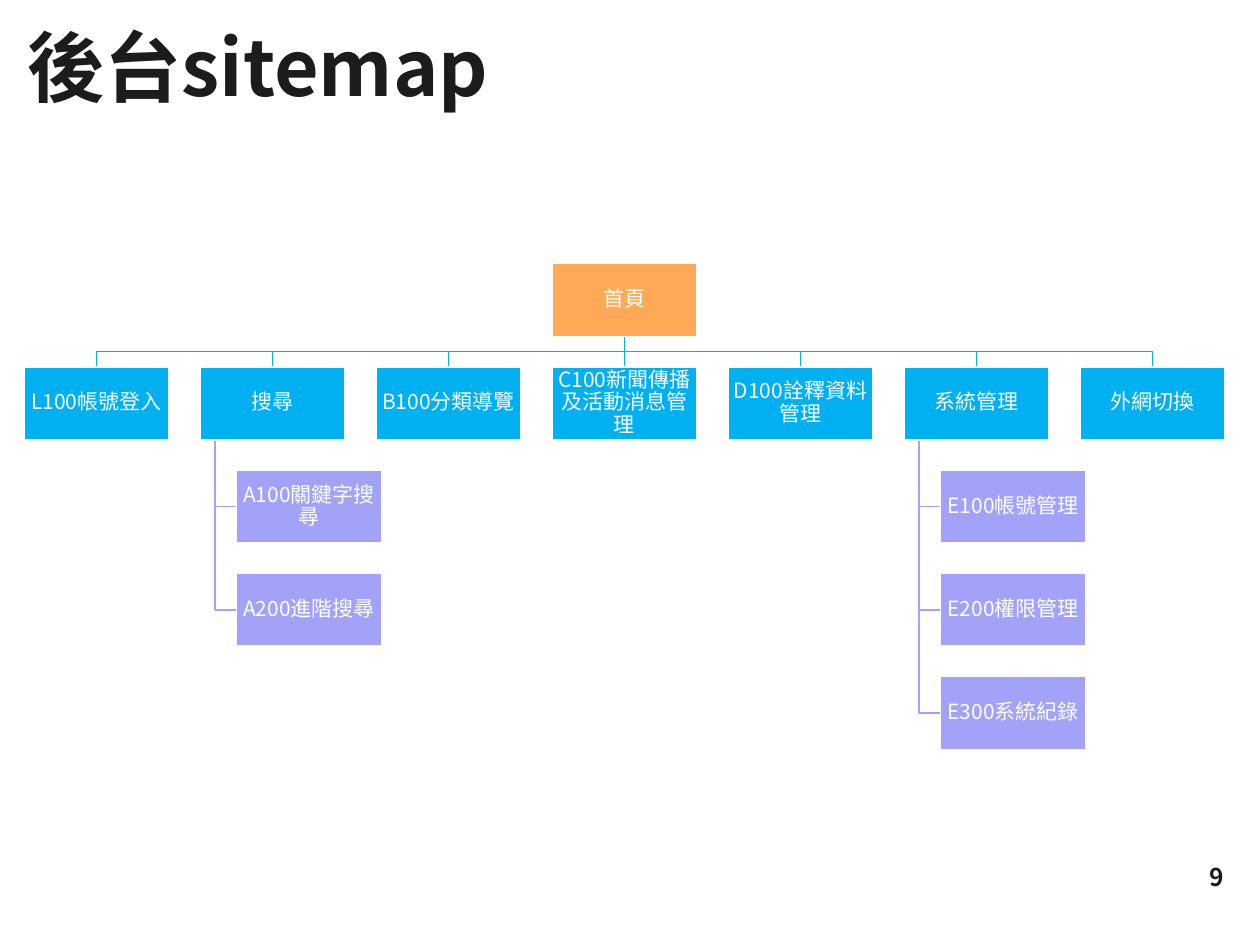
from lxml.etree import SubElement
from pptx import Presentation
from pptx.dml.color import RGBColor
from pptx.enum.shapes import MSO_CONNECTOR, MSO_SHAPE
from pptx.enum.text import MSO_ANCHOR, PP_ALIGN
from pptx.oxml.ns import qn
from pptx.util import Inches, Pt

FONT = "Noto Sans CJK SC"
LATIN_FONT = "Calibri"
INK = RGBColor(0x1C, 0x1C, 0x1C)
WHITE = RGBColor(0xFF, 0xFF, 0xFF)
ORANGE = RGBColor(0xFD, 0xA9, 0x55)
BLUE = RGBColor(0x00, 0xB0, 0xF0)
PURPLE = RGBColor(0xA2, 0xA2, 0xF8)

BOX_WIDTH, BOX_HEIGHT = Inches(1.15), Inches(0.58)
LEFT, COLUMN_STEP = Inches(0.19), Inches(1.397)
HOME_TOP, ROW_STEP = Inches(2.09), Inches(0.82)
SECTION_TOP = HOME_TOP + ROW_STEP
CHILD_INDENT, TRUNK_INDENT = Inches(0.29), Inches(0.12)

# Each section: its text runs as (text, latin font), then its child pages
SECTIONS = [
    ([("L100帳號登入", FONT)], []),
    ([("搜尋", FONT)], ["A100關鍵字搜尋", "A200進階搜尋"]),
    ([("B100分類導覽", FONT)], []),
    ([("C100", FONT), ("新聞傳播及活動消息管理", LATIN_FONT)], []),
    ([("D100詮釋資料管理", FONT)], []),
    ([("系統管理", FONT)], ["E100帳號管理", "E200權限管理", "E300系統紀錄"]),
    ([("外網切換", FONT)], []),
]
HOME_COLUMN = len(SECTIONS) // 2


def write_text(shape, runs, size, color, alignment, bold=False):
    """Fill the shape with one paragraph of (text, latin font) runs."""
    frame = shape.text_frame
    frame.word_wrap = True
    frame.vertical_anchor = MSO_ANCHOR.MIDDLE
    paragraph = frame.paragraphs[0]
    paragraph.alignment = alignment
    paragraph.line_spacing = 0.9
    for text, latin_font in runs:
        run = paragraph.add_run()
        run.text = text
        run.font.size = Pt(size)
        run.font.bold = bold
        run.font.color.rgb = color
        run.font.name = latin_font
        SubElement(run.font._element, qn("a:ea"), typeface=FONT)


def add_bent_line(points, color):
    builder = slide.shapes.build_freeform(*points[0])
    builder.add_line_segments(points[1:], close=False)
    shape = builder.convert_to_shape()
    shape.shadow.inherit = False
    shape.fill.background()
    shape.line.color.rgb = color
    shape.line.width = Pt(1)


presentation = Presentation()
presentation.slide_width = Inches(10)
presentation.slide_height = Inches(7.5)
slide = presentation.slides.add_slide(presentation.slide_layouts[6])

title = slide.shapes.add_textbox(Inches(0.12), Inches(0.15), Inches(8.62), Inches(0.83))
write_text(title, [("後台sitemap", FONT)], 44, INK, PP_ALIGN.LEFT, bold=True)
page_number = slide.shapes.add_textbox(Inches(7.56), Inches(6.77), Inches(2.25), Inches(0.4))
write_text(page_number, [("9", FONT)], 14, INK, PP_ALIGN.RIGHT, bold=True)

# Lines go first so that the boxes lie on top; boxes are collected on the way
home_left = LEFT + HOME_COLUMN * COLUMN_STEP
home_center = home_left + BOX_WIDTH // 2
home_bottom = HOME_TOP + BOX_HEIGHT
middle = (home_bottom + SECTION_TOP) // 2
boxes = [([("首頁", FONT)], home_left, HOME_TOP, ORANGE)]

for column, (runs, children) in enumerate(SECTIONS):
    left = LEFT + column * COLUMN_STEP
    center = left + BOX_WIDTH // 2
    boxes.append((runs, left, SECTION_TOP, BLUE))
    if column == HOME_COLUMN:
        home_connector = slide.shapes.add_connector(
            MSO_CONNECTOR.STRAIGHT, center, home_bottom, center, SECTION_TOP)
        home_connector.line.color.rgb = BLUE
        home_connector.line.width = Pt(1)
        SubElement(home_connector._element.spPr, qn("a:effectLst"))
    else:
        add_bent_line([(home_center, home_bottom), (home_center, middle),
                       (center, middle), (center, SECTION_TOP)], BLUE)

    trunk = left + TRUNK_INDENT
    for row, text in enumerate(children, start=1):
        child_left, child_top = left + CHILD_INDENT, SECTION_TOP + row * ROW_STEP
        child_middle = child_top + BOX_HEIGHT // 2
        add_bent_line([(trunk, SECTION_TOP + BOX_HEIGHT), (trunk, child_middle),
                       (child_left, child_middle)], PURPLE)
        boxes.append(([(text, FONT)], child_left, child_top, PURPLE))

for runs, left, top, color in boxes:
    box = slide.shapes.add_shape(MSO_SHAPE.RECTANGLE, left, top, BOX_WIDTH, BOX_HEIGHT)
    box.shadow.inherit = False
    box.fill.solid()
    box.fill.fore_color.rgb = color
    box.line.color.rgb = WHITE
    box.line.width = Pt(1)
    frame = box.text_frame
    frame.margin_left = frame.margin_right = Inches(0.01)
    frame.margin_top = frame.margin_bottom = Inches(0.01)
    write_text(box, runs, 12, WHITE, PP_ALIGN.CENTER)
    if left == home_left:
        if top == HOME_TOP:
            home_connector.begin_connect(box, 2)
        else:
            home_connector.end_connect(box, 0)

presentation.save("out.pptx")
